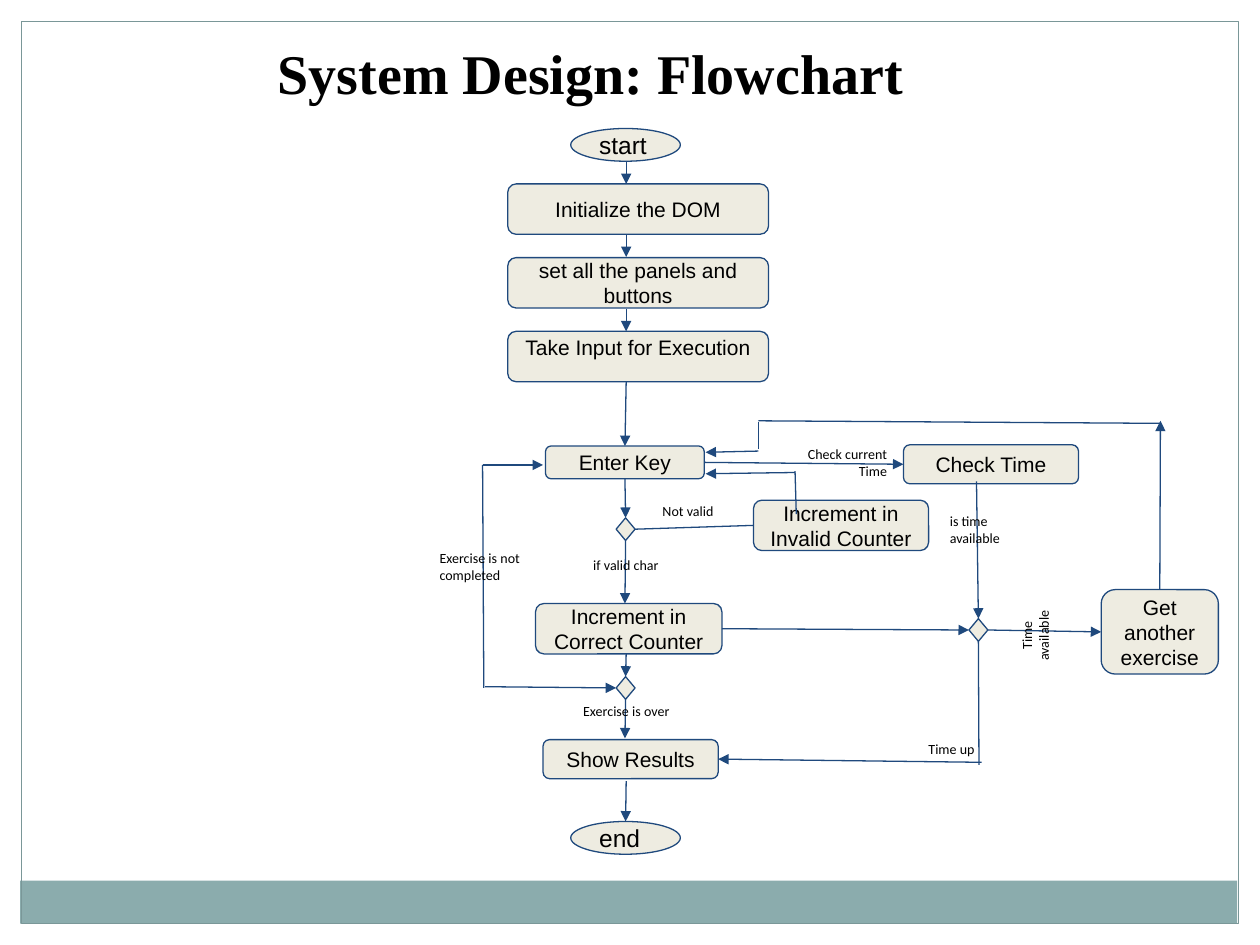
"""Build the System Design flowchart slide."""
from dataclasses import dataclass

from lxml.etree import SubElement
from pptx import Presentation
from pptx.dml.color import RGBColor
from pptx.enum.shapes import MSO_CONNECTOR, MSO_SHAPE
from pptx.enum.text import MSO_ANCHOR, MSO_AUTO_SIZE, PP_ALIGN
from pptx.oxml.ns import qn
from pptx.util import Inches, Pt

TOP, LEFT, BOTTOM, RIGHT = range(4)


@dataclass(frozen=True)
class Theme:
    ink = RGBColor(0x00, 0x00, 0x00)
    outline = RGBColor(0x1F, 0x49, 0x7D)
    node = RGBColor(0xEE, 0xEC, 0xE1)
    band = RGBColor(0x8B, 0xAC, 0xAD)
    frame = RGBColor(0x7A, 0x97, 0x98)
    title_font, node_font, label_font = "Times New Roman", "Arial", "Calibri"
    title_size, terminal_size, step_size, label_size = 32, 14, 12, 8
    line_width = 0.75
    inset = 0.1


THEME = Theme()


def add_outline(page, kind, bounds, fill=None, line=None):
    shape = page.shapes.add_shape(kind, *map(Inches, bounds))
    shape.shadow.inherit = False
    if fill is None:
        shape.fill.background()
    else:
        shape.fill.solid()
        shape.fill.fore_color.rgb = fill
    if line is None:
        shape.line.fill.background()
    else:
        shape.line.color.rgb = line
        shape.line.width = Pt(THEME.line_width)
    return shape


def write_text(shape, text, font, size, align=PP_ALIGN.LEFT, bold=False):
    frame = shape.text_frame
    frame.word_wrap = True
    frame.margin_left = frame.margin_right = Inches(THEME.inset)
    frame.margin_top = frame.margin_bottom = Inches(THEME.inset)
    frame.text = text
    for para in frame.paragraphs:
        para.alignment = align
        for span in para.runs:
            span.font.name = font
            span.font.size = Pt(size)
            span.font.bold = bold
            span.font.color.rgb = THEME.ink
    return frame


def add_terminal(page, top, text):
    shape = add_outline(page, MSO_SHAPE.OVAL, (4.53, top, 0.87, 0.26), THEME.node, THEME.outline)
    write_text(shape, text, THEME.node_font, THEME.terminal_size).vertical_anchor = MSO_ANCHOR.MIDDLE
    return shape


def add_step(page, bounds, text):
    shape = add_outline(page, MSO_SHAPE.ROUNDED_RECTANGLE, bounds, THEME.node, THEME.outline)
    frame = write_text(shape, text, THEME.node_font, THEME.step_size, PP_ALIGN.CENTER)
    frame.vertical_anchor = MSO_ANCHOR.MIDDLE
    return shape


def add_decision(page, left, top):
    bounds = (left, top, 0.15, 0.18)
    return add_outline(page, MSO_SHAPE.FLOWCHART_DECISION, bounds, THEME.node, THEME.outline)


def add_label(page, bounds, text, align=PP_ALIGN.LEFT, rotation=0):
    box = page.shapes.add_textbox(*map(Inches, bounds))
    box.rotation = rotation
    frame = write_text(box, text, THEME.label_font, THEME.label_size, align)
    frame.auto_size = MSO_AUTO_SIZE.SHAPE_TO_FIT_TEXT


def add_flow(page, start, end, arrow=True, source=None, target=None):
    """Draw a line, joined to any (shape, site) given as source or target."""
    line = page.shapes.add_connector(MSO_CONNECTOR.STRAIGHT, *map(Inches, start + end))
    line.line.color.rgb = THEME.outline
    line.line.width = Pt(THEME.line_width)
    if source:
        line.begin_connect(*source)
    if target:
        line.end_connect(*target)
    if arrow:
        SubElement(line.line._get_or_add_ln(), qn("a:tailEnd"), type="triangle")
    SubElement(line._element.spPr, qn("a:effectLst"))


def add_title(page, text):
    box = page.shapes.add_textbox(*map(Inches, (0.08, 0.21, 9.66, 0.74)))
    frame = write_text(box, text, THEME.title_font, THEME.title_size, PP_ALIGN.CENTER, True)
    frame.margin_right = Inches(0.54)


def add_nodes(page):
    nodes = {"start": add_terminal(page, 1.02, "start"), "end": add_terminal(page, 6.52, "end")}
    setup = ("Initialize the DOM", "set all the panels and buttons", "Take Input for Execution")
    for index, text in enumerate(setup):
        step = add_step(page, (4.03, 1.46 + 0.585 * index, 2.07, 0.4), text)
    step.text_frame.vertical_anchor = MSO_ANCHOR.TOP
    step.text_frame.margin_top = Inches(0.01)
    steps = {
        "enter": ((4.33, 3.54, 1.26, 0.26), "Enter Key"),
        "time": ((7.17, 3.53, 1.39, 0.31), "Check Time"),
        "correct": ((4.25, 4.79, 1.48, 0.4), "Increment in Correct Counter"),
        "invalid": ((5.98, 3.97, 1.39, 0.4), "Increment in Invalid Counter"),
        "another": ((8.74, 4.68, 0.93, 0.67), "Get another exercise"),
        "results": ((4.31, 5.87, 1.39, 0.31), "Show Results"),
    }
    for name, (bounds, text) in steps.items():
        nodes[name] = add_step(page, bounds, text)
    decisions = {"valid": (4.89, 4.11), "over": (4.89, 5.37), "available": (7.69, 4.91)}
    for name, corner in decisions.items():
        nodes[name] = add_decision(page, *corner)
    return nodes


def add_flows(page, nodes):
    flows = (
        ((4.97, 1.28), (4.97, 1.46), True, None, None),
        ((4.97, 1.86), (4.97, 2.04), True, None, None),
        ((4.97, 2.45), (4.97, 2.63), True, None, None),
        ((4.97, 3.03), (4.96, 3.54), True, None, ("enter", TOP)),
        ((4.96, 3.8), (4.97, 4.11), True, ("enter", BOTTOM), ("valid", TOP)),
        ((4.97, 4.28), (4.96, 4.79), True, ("valid", BOTTOM), None),
        ((4.97, 5.19), (4.97, 5.4), True, None, ("over", TOP)),
        ((4.97, 5.53), (4.96, 5.86), True, ("over", BOTTOM), None),
        ((4.97, 6.2), (4.96, 6.53), True, None, ("end", TOP)),
        ((5.6, 3.67), (7.17, 3.69), True, ("enter", RIGHT), ("time", LEFT)),
        ((7.75, 3.82), (7.76, 4.91), True, None, ("available", TOP)),
        ((5.73, 4.98), (7.69, 5), True, ("correct", RIGHT), ("available", LEFT)),
        ((7.84, 5), (8.74, 5.01), True, ("available", RIGHT), ("another", LEFT)),
        ((7.76, 5.09), (7.77, 6.07), False, ("available", BOTTOM), None),
        ((7.79, 6.05), (5.69, 6.03), True, None, ("results", RIGHT)),
        ((3.83, 3.69), (3.84, 5.46), False, None, None),
        ((3.83, 3.69), (4.31, 3.69), True, None, None),
        ((3.85, 5.45), (4.89, 5.46), True, None, ("over", LEFT)),
        ((9.2, 4.68), (9.21, 3.34), True, ("another", TOP), None),
        ((9.21, 3.36), (6.02, 3.34), False, None, None),
        ((6.02, 3.35), (6.02, 3.56), False, None, None),
        ((6.02, 3.58), (5.6, 3.59), True, None, None),
        ((5.05, 4.2), (5.98, 4.17), False, ("valid", RIGHT), ("invalid", LEFT)),
        ((6.32, 4.08), (6.31, 3.74), False, None, None),
        ((6.31, 3.75), (5.6, 3.76), True, None, None),
    )
    for start, end, arrow, *joints in flows:
        source, target = ((nodes[joint[0]], joint[1]) if joint else None for joint in joints)
        add_flow(page, start, end, arrow, source, target)


def add_labels(page):
    add_label(page, (3.39, 4.26, 1.23, 0.47), "Exercise is not completed")
    add_label(page, (6.21, 3.44, 0.93, 0.47), "Check current\nTime", PP_ALIGN.RIGHT)
    add_label(page, (7.27, 5.81, 0.58, 0.34), "Time up")
    add_label(page, (5.16, 3.92, 0.63, 0.34), "Not valid")
    add_label(page, (4.61, 4.35, 1.09, 0.34), "if valid char")
    add_label(page, (4.53, 5.51, 0.93, 0.34), "Exercise is over")
    add_label(page, (7.9, 4.81, 0.63, 0.47), "Time available", PP_ALIGN.CENTER, 270)
    add_label(page, (7.44, 3.97, 0.63, 0.47), "is time available")


def main():
    deck = Presentation()
    deck.slide_width, deck.slide_height = Inches(10), Inches(7.5)
    page = deck.slides.add_slide(deck.slide_layouts[6])
    add_outline(page, MSO_SHAPE.RECTANGLE, (0.16, 6.99, 9.66, 0.34), fill=THEME.band)
    add_outline(page, MSO_SHAPE.RECTANGLE, (0.17, 0.17, 9.66, 7.16), line=THEME.frame)
    add_title(page, "System Design: Flowchart")
    nodes = add_nodes(page)
    add_flows(page, nodes)
    add_labels(page)
    deck.save("out.pptx")


if __name__ == "__main__":
    main()
